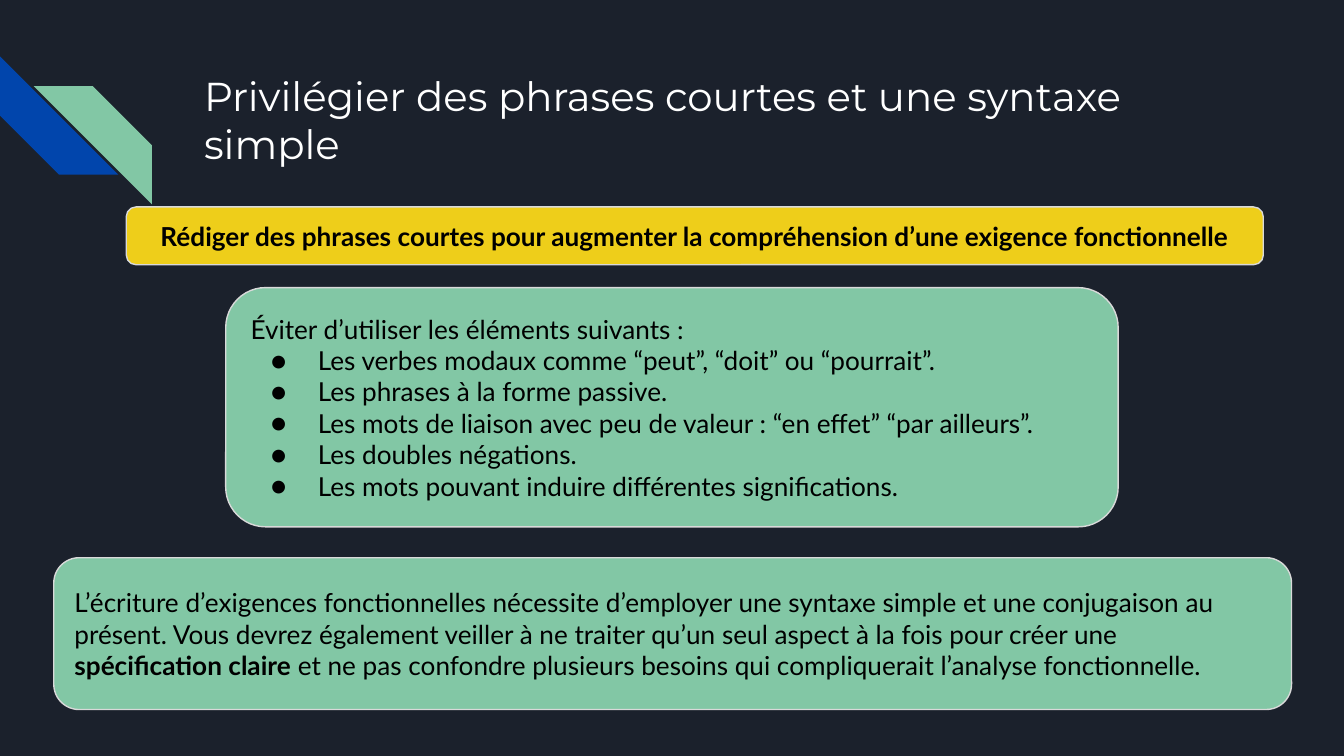
import pptx
import pptx.dml.color
import pptx.enum.shapes
import pptx.enum.text
import pptx.util
from lxml import etree

WIDTH = 10
HEIGHT = WIDTH * 9 / 16
COLUMN = WIDTH / 100  # grid cells are square
ROW = COLUMN

NAVY, BLUE, GREEN, YELLOW = "1B212C", "0145AC", "82C7A5", "EECE1A"
BORDER, BLACK, WHITE = "D9D9D9", "000000", "FFFFFF"

SHAPES = pptx.enum.shapes.MSO_SHAPE
ANCHOR = pptx.enum.text.MSO_ANCHOR
ALIGN = pptx.enum.text.PP_ALIGN

HEADING = "Privilégier des phrases courtes et une syntaxe simple"
RULE = "Rédiger des phrases courtes pour augmenter la compréhension d’une exigence fonctionnelle"
AVOID_INTRO = "Éviter d’utiliser les éléments suivants :"
AVOID_ITEMS = [
    "Les verbes modaux comme “peut”, “doit” ou “pourrait”.",
    "Les phrases à la forme passive.",
    "Les mots de liaison avec peu de valeur : “en effet” “par ailleurs”.",
    "Les doubles négations.",
    "Les mots pouvant induire différentes significations.",
]
SUMMARY = [
    ("L’écriture d’exigences fonctionnelles nécessite d’employer une syntaxe simple "
     "et une conjugaison au présent. Vous devrez également veiller à ne traiter qu’un "
     "seul aspect à la fois pour créer une ", False),
    ("spécification claire", True),
    (" et ne pas confondre plusieurs besoins qui compliquerait l’analyse fonctionnelle.", False),
]


def color(value):
    return pptx.dml.color.RGBColor.from_string(value)


def place(area):
    """Turn (column, row, columns, rows) into slide lengths."""
    left, top, width, height = area
    return [pptx.util.Inches(size) for size in
            (left * COLUMN, top * ROW, width * COLUMN, height * ROW)]


def add_span(para, text, bold=False, size=14, font="Lato", fill=BLACK):
    span = para.add_run()
    span.text = text
    span.font.name = font
    span.font.size = pptx.util.Pt(size)
    span.font.bold = bold
    span.font.color.rgb = color(fill)


def add_bullet(para):
    properties = para._p.get_or_add_pPr()
    properties.set("marL", str(pptx.util.Inches(0.5)))
    properties.set("indent", str(pptx.util.Inches(-0.35)))
    namespace = "{http://schemas.openxmlformats.org/drawingml/2006/main}"
    tint = etree.SubElement(properties, namespace + "buClr")
    etree.SubElement(tint, namespace + "srgbClr", val=BLACK)
    etree.SubElement(properties, namespace + "buSzPts", val="1400")
    etree.SubElement(properties, namespace + "buFont", typeface="Lato")
    etree.SubElement(properties, namespace + "buChar", char="●")


def add_shape(page, kind, area, fill):
    shape = page.shapes.add_shape(kind, *place(area))
    shape.shadow.inherit = False
    shape.fill.solid()
    shape.fill.fore_color.rgb = color(fill)
    shape.line.fill.background()
    return shape


def prepare_text(shape, anchor):
    """Set wrapping and even margins; return the text frame."""
    frame = shape.text_frame
    frame.word_wrap = True
    frame.vertical_anchor = anchor
    margin = pptx.util.Inches(0.1)
    frame.margin_left = frame.margin_right = margin
    frame.margin_top = frame.margin_bottom = margin
    return frame


def add_card(page, area, fill, paragraphs, align=ALIGN.LEFT):
    """Rounded card; each paragraph is (spans, bulleted)."""
    card = add_shape(page, SHAPES.ROUNDED_RECTANGLE, area, fill)
    card.line.color.rgb = color(BORDER)
    card.line.width = pptx.util.Pt(0.75)
    frame = prepare_text(card, ANCHOR.MIDDLE)
    for index, (spans, bulleted) in enumerate(paragraphs):
        para = frame.add_paragraph() if index else frame.paragraphs[0]
        para.alignment = align
        if bulleted:
            add_bullet(para)
        for text, bold in spans:
            add_span(para, text, bold)


def add_corner_stripes(page, area):
    """Two interlocking stripes in opposite corners of the area."""
    left, top, width, height = area
    side = 8.8
    stripes = [(left, top, BLUE, 270),
               (left + width - side, top + height - side, GREEN, 90)]
    for column, row, fill, rotation in stripes:
        stripe = add_shape(page, SHAPES.DIAGONAL_STRIPE, (column, row, side, side), fill)
        stripe.rotation = rotation


def add_heading(page, area):
    box = page.shapes.add_textbox(*place(area))
    frame = prepare_text(box, ANCHOR.TOP)
    add_span(frame.paragraphs[0], HEADING, size=21.6, font="Montserrat", fill=WHITE)


def add_rule(page, area):
    add_card(page, area, YELLOW, [([(RULE, True)], False)], ALIGN.CENTER)


def add_avoid_list(page, area):
    items = [([(item, False)], True) for item in AVOID_ITEMS]
    add_card(page, area, GREEN, [([(AVOID_INTRO, False)], False)] + items)


def add_summary(page, area):
    add_card(page, area, GREEN, [(SUMMARY, False)])


def main():
    deck = pptx.Presentation()
    deck.slide_width = pptx.util.Inches(WIDTH)
    deck.slide_height = pptx.util.Inches(HEIGHT)
    page = deck.slides.add_slide(deck.slide_layouts[6])
    page.background.fill.solid()
    page.background.fill.fore_color.rgb = color(NAVY)

    # Header
    add_corner_stripes(page, (0, 4.2, 11.3, 11))
    add_heading(page, (14.2, 4.3, 77, 10))

    # Cards
    add_rule(page, (9.4, 15.4, 84.6, 4.3))
    add_avoid_list(page, (16.8, 21.4, 66.4, 17.8))
    add_summary(page, (4, 41.5, 92.1, 11.3))

    deck.save("out.pptx")


if __name__ == "__main__":
    main()
